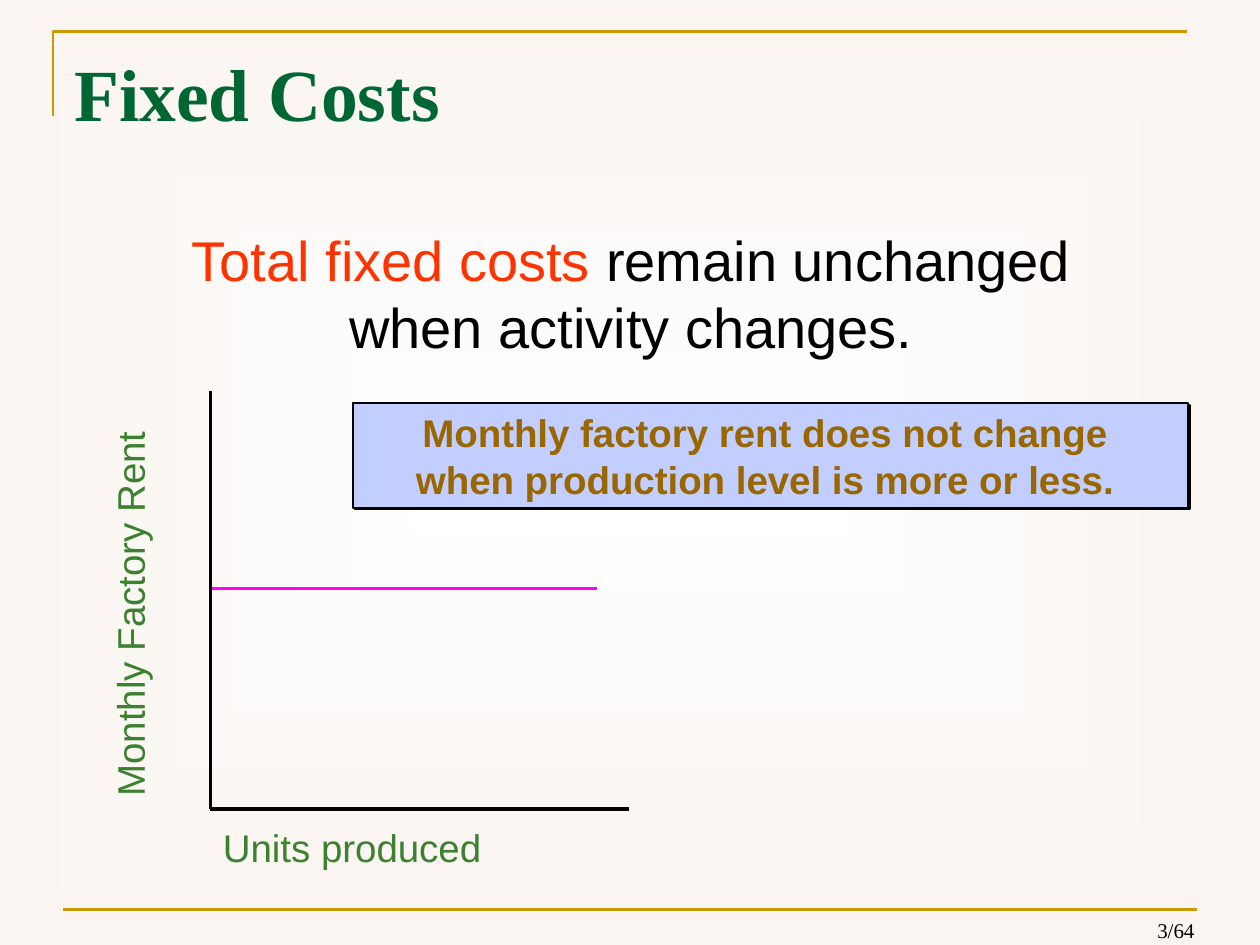
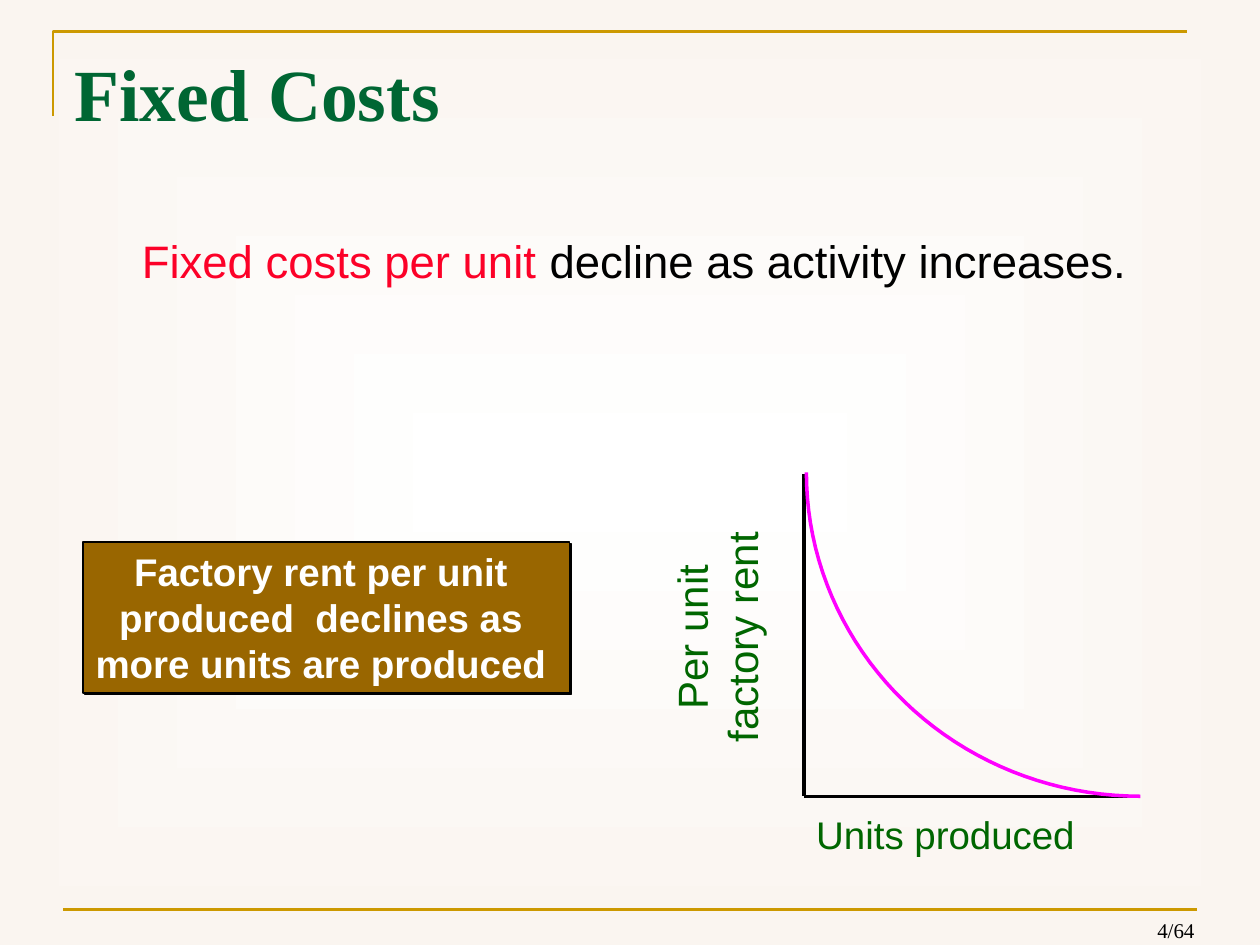
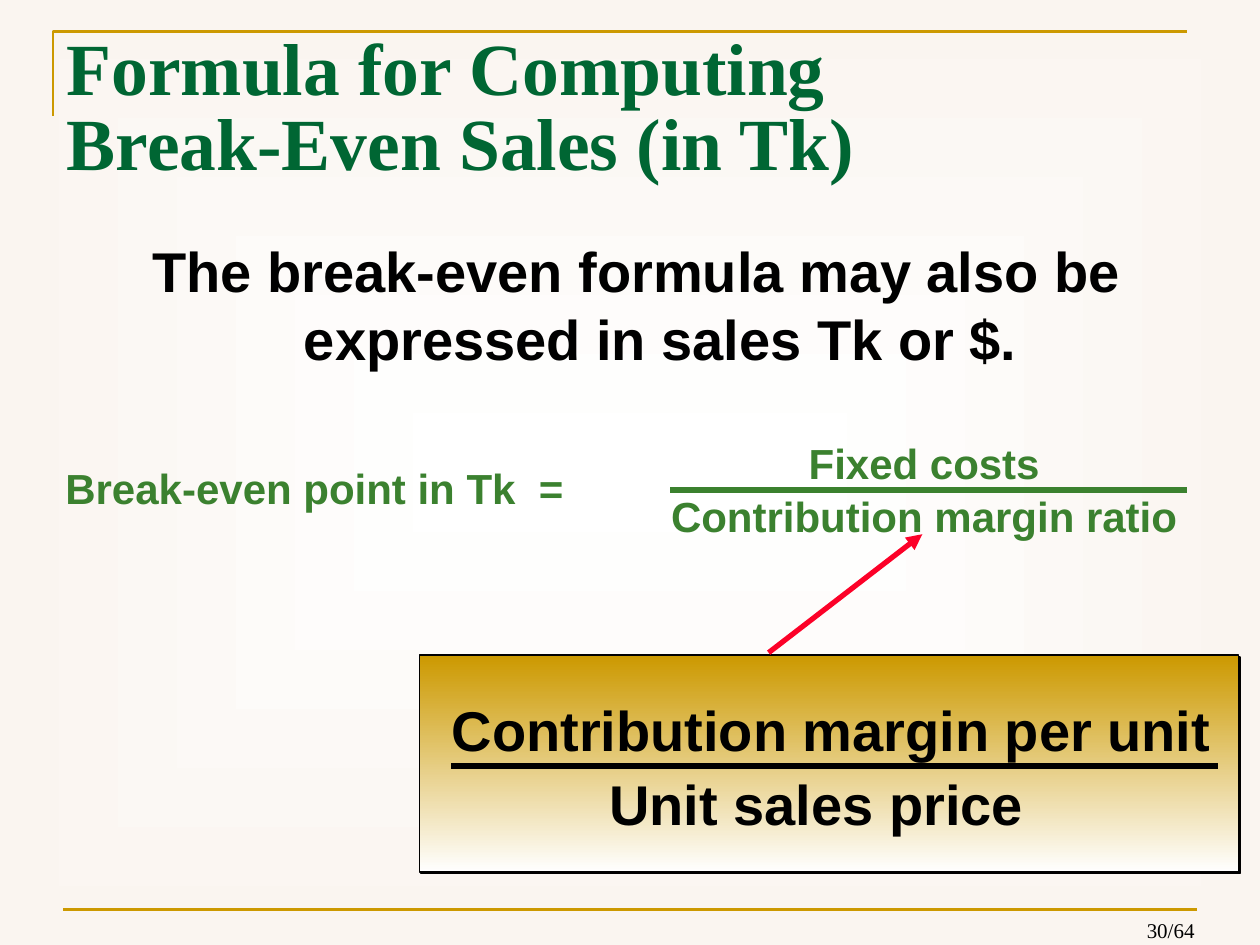
from math import cos, pi, sin

from lxml.etree import SubElement
from pptx import Presentation
from pptx.dml.color import RGBColor
from pptx.enum.shapes import MSO_CONNECTOR as Connector, MSO_SHAPE as Preset
from pptx.enum.text import MSO_ANCHOR as Anchor, MSO_AUTO_SIZE as AutoSize, PP_ALIGN as Align
from pptx.oxml.ns import qn
from pptx.util import Inches, Pt

COLORS = {
    "paper": "FAF5F0", "white": "FFFFFF", "ink": "000000", "gold": "CC9900",
    "title": "006633", "orange": "FF3300", "red": "FC0128", "magenta": "FF00FF",
    "leaf": "3B812F", "forest": "006600", "brown": "996600", "lilac": "C1CEFF",
}
SANS, SERIF = "Arial", "Times New Roman"
TOTAL_PAGES = 64


def color(name):
    return RGBColor.from_string(COLORS[name])


def place(shape, box):
    shape.left, shape.top, shape.width, shape.height = map(Inches, box)


def write(frame, paragraphs, size, ink="ink", bold=False, align=Align.LEFT,
          font=SANS, anchor=Anchor.TOP, spacing=None, hanging=0):
    frame.word_wrap = True
    frame.auto_size = AutoSize.NONE
    frame.vertical_anchor = anchor
    for number, spans in enumerate(paragraphs):
        para = frame.add_paragraph() if number else frame.paragraphs[0]
        properties = para._p.get_or_add_pPr()
        properties.set("marL", str(Inches(hanging)))
        properties.set("indent", str(-Inches(hanging)))
        para.alignment = align
        para.space_before = Pt(0)
        if spacing:
            para.line_spacing = spacing
        SubElement(properties, qn("a:buNone"))
        para.font.name, para.font.size, para.font.bold = font, Pt(size), bold
        for text, span_ink in [(spans, ink)] if isinstance(spans, str) else spans:
            for row, line in enumerate(text.split("\n")):
                if row:
                    para.add_line_break()
                span = para.add_run()
                span.text = line
                span.font.color.rgb = color(span_ink)


def add_text(page, box, paragraphs, size, **style):
    label = page.shapes.add_textbox(*map(Inches, box))
    write(label.text_frame, paragraphs, size, **style)
    return label


def add_line(page, start, end, ink, width, arrow=False):
    line = page.shapes.add_connector(Connector.STRAIGHT, *map(Inches, (*start, *end)))
    line.line.color.rgb = color(ink)
    line.line.width = Pt(width)
    properties = line.element.spPr
    if arrow:
        SubElement(properties.find(qn("a:ln")), qn("a:tailEnd"), type="triangle")
    SubElement(properties, qn("a:effectLst"))
    return line


def add_path(page, points, ink, width):
    start, *rest = [tuple(map(Inches, point)) for point in points]
    builder = page.shapes.build_freeform(*start)
    builder.add_line_segments(rest, close=False)
    path = builder.convert_to_shape()
    path.shadow.inherit = False
    path.fill.background()
    path.line.color.rgb = color(ink)
    path.line.width = Pt(width)
    return path


def add_panel(page, box, fill=None):
    panel = page.shapes.add_shape(Preset.RECTANGLE, *map(Inches, box))
    if fill:
        panel.fill.solid()
        panel.fill.fore_color.rgb = color(fill)
    else:
        panel.fill.gradient()
        panel.fill.gradient_angle = 270
        for stop, name in zip(panel.fill.gradient_stops, ("gold", "white")):
            stop.color.rgb = color(name)
    panel.line.color.rgb = color("ink")
    panel.line.width = Pt(1)
    panel.shadow.inherit = False
    effects = panel.element.spPr.find(qn("a:effectLst"))
    shadow = SubElement(effects, qn("a:outerShdw"), dist=str(Pt(1.4)), dir="2700000",
                        algn="ctr", rotWithShape="0")
    SubElement(shadow, qn("a:srgbClr"), val=COLORS["ink"])
    return panel


def paint_background(master):
    fill = master.background.fill
    fill.gradient()
    for stop, name in zip(fill.gradient_stops, ("white", "paper")):
        stop.color.rgb = color(name)
    gradient = next(master.element.iter(qn("a:gradFill")))
    gradient.remove(gradient.find(qn("a:lin")))
    centre = SubElement(gradient, qn("a:path"), path="rect")
    SubElement(centre, qn("a:fillToRect"), {side: "50000" for side in "ltrb"})


def add_frame(master, page):
    corner = add_path(page, [(0.42, 0.92), (0.42, 0.25), (9.42, 0.25)], "gold", 1.5)
    rule = add_line(page, (0.5, 7.22), (9.5, 7.22), "gold", 1.5)
    for number, shape in enumerate((corner, rule), 20):
        next(shape.element.iter(qn("p:cNvPr"))).set("id", str(number))
        master.shapes.element.append(shape.element)


def add_page(deck, number, title, statement, statement_box, size,
             title_box=(0.49, 0.25, 9, 0.88), **style):
    page = deck.slides.add_slide(deck.slide_layouts[1])
    heading, body = page.placeholders
    place(heading, title_box)
    write(heading.text_frame, [title], 42, ink="title", bold=True, font=SERIF,
          anchor=Anchor.BOTTOM, spacing=0.85)
    place(body, statement_box)
    write(body.text_frame, [statement], size, align=Align.CENTER, **style)
    add_text(page, (8.15, 7.29, 1.43, 0.24), [f"{number}/{TOTAL_PAGES}"], 12,
             font=SERIF, align=Align.RIGHT, anchor=Anchor.BOTTOM)
    return page


def add_axes(page, box, label, label_box, label_size, ink):
    left, top, width, height = box
    bottom = top + height
    add_line(page, (left, top), (left, bottom), "ink", 2)
    add_line(page, (left, bottom), (left + width, bottom), "ink", 2)
    add_text(page, (left, bottom + 0.07, width + 0.4, 0.46), ["Units produced"], 22, ink=ink)
    across, down, length, depth = label_box
    side = add_text(page, (left + across, top + down, length, depth), [label],
                    label_size, ink=ink, align=Align.CENTER)
    side.rotation = 270


def add_falling_curve(page, box, steps=40):
    left, top, width, height = box
    angles = [step * pi / 2 / steps for step in range(steps + 1)]
    points = [(left + width * (1 - cos(angle)), top + height * sin(angle)) for angle in angles]
    add_path(page, points, "magenta", 2)


def add_break_even_formula(page, left, top):
    style = {"ink": "leaf", "bold": True}
    add_text(page, (left, top + 0.2, 4.8, 0.5), ["Break-even point in Tk  ="], 24, **style)
    add_line(page, (left + 4.9, top + 0.47), (left + 9, top + 0.47), "leaf", 3)
    for offset, text in ((0, "Fixed costs"), (0.42, "Contribution margin ratio")):
        add_text(page, (left + 4.5, top + offset, 4.83, 0.5), [text], 24,
                 align=Align.CENTER, **style)


def add_ratio_panel(page, box):
    left, top, width, height = box
    add_panel(page, box)
    ratio = add_text(page, (left - 0.19, top + 0.22, width + 0.18, 1.27),
                     ["Contribution margin per unit", "Unit sales price"], 32,
                     bold=True, align=Align.CENTER, spacing=1.1)
    first = ratio.text_frame.paragraphs[0]._p.get_or_add_pPr()
    first.set("marL", str(Inches(0.24)))
    add_line(page, (left + 0.25, top + 0.88), (left + 6.34, top + 0.88), "ink", 3)
    add_line(page, (left + 2.77, top - 0.02), (left + 3.99, top - 0.96), "red", 3, arrow=True)


def build_total_fixed_costs(deck):
    page = add_page(deck, 3, "Fixed Costs",
                    [("Total fixed costs", "orange"),
                     (" remain unchanged\nwhen activity changes.", "ink")],
                    (1.3, 1.74, 7.42, 1.16), 32)
    note = add_panel(page, (2.8, 3.2, 6.63, 0.83), "lilac")
    write(note.text_frame, ["Monthly factory rent does not change ",
                            "when production level is more or less. "],
          22, ink="brown", bold=True, align=Align.CENTER)
    add_line(page, (1.68, 4.67), (4.74, 4.67), "magenta", 2)
    add_axes(page, (1.67, 3.1, 3.32, 3.32), "Monthly Factory Rent ",
             (-2.27, 1.5, 3.25, 0.46), 22, "leaf")
    return page


def build_unit_fixed_costs(deck):
    page = add_page(deck, 4, "Fixed Costs",
                    [("Fixed costs per unit ", "red"),
                     ("decline as activity increases.", "ink")],
                    (0.82, 1.8, 8.43, 0.77), 26, hanging=0.38)
    note = add_panel(page, (0.66, 4.3, 3.86, 1.2), "brown")
    write(note.text_frame, ["Factory rent per unit ", "produced  declines as ",
                            "more units are produced "],
          22, ink="white", bold=True, align=Align.CENTER)
    add_axes(page, (6.38, 3.76, 2.67, 2.56), "Per unit \nfactory rent ",
             (-2.22, 0.8, 3.05, 0.9), 24, "forest")
    add_falling_curve(page, (6.4, 3.75, 2.65, 2.57))


def build_break_even(deck):
    page = add_page(deck, 30, "Formula for Computing\nBreak-Even Sales (in Tk)",
                    "The break-even formula may also be expressed in sales Tk or $.",
                    (0.58, 1.83, 8.95, 1.25), 32, title_box=(0.43, 0.28, 8.32, 1.24),
                    bold=True, hanging=0.38)
    add_break_even_formula(page, 0.42, 3.42)
    add_ratio_panel(page, (3.33, 5.2, 6.5, 1.72))


def main():
    deck = Presentation()
    deck.slide_width, deck.slide_height = Inches(10), Inches(7.5)
    paint_background(deck.slide_master)
    first_page = build_total_fixed_costs(deck)
    add_frame(deck.slide_master, first_page)
    build_unit_fixed_costs(deck)
    build_break_even(deck)
    deck.save("out.pptx")


if __name__ == "__main__":
    main()
